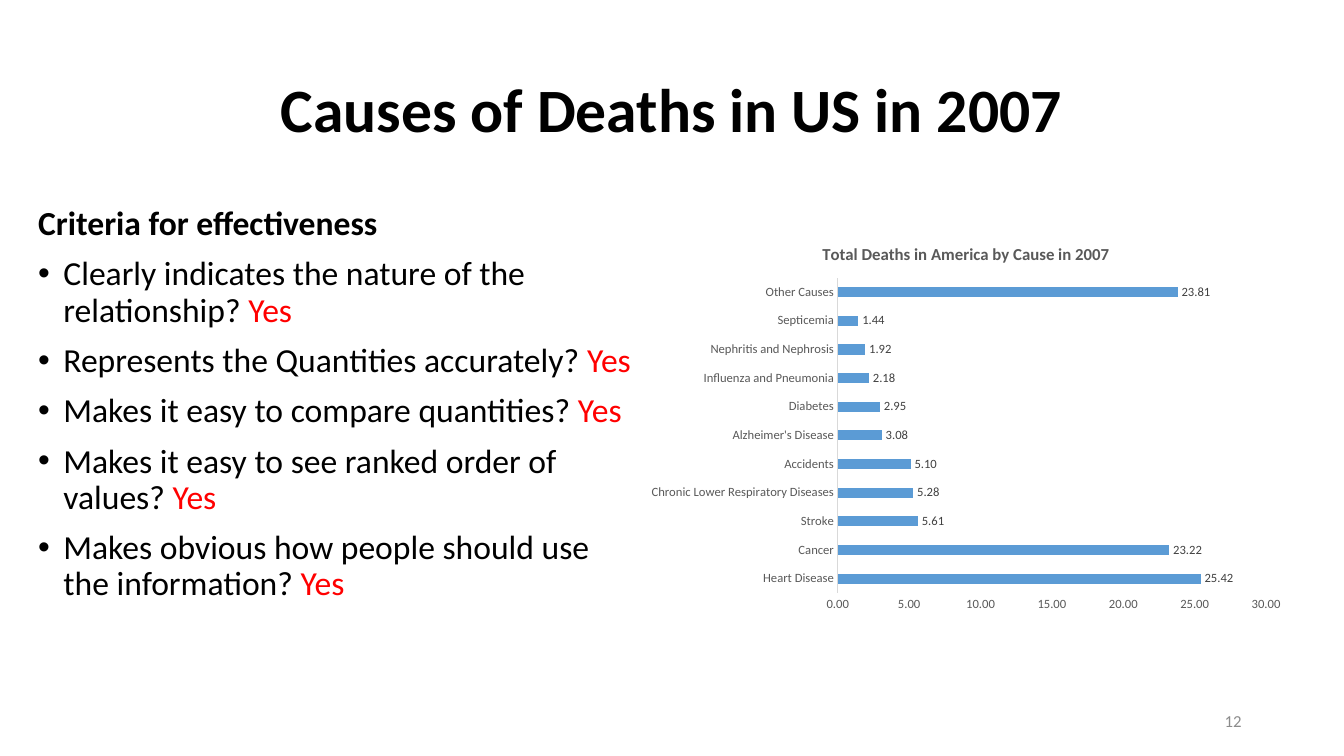
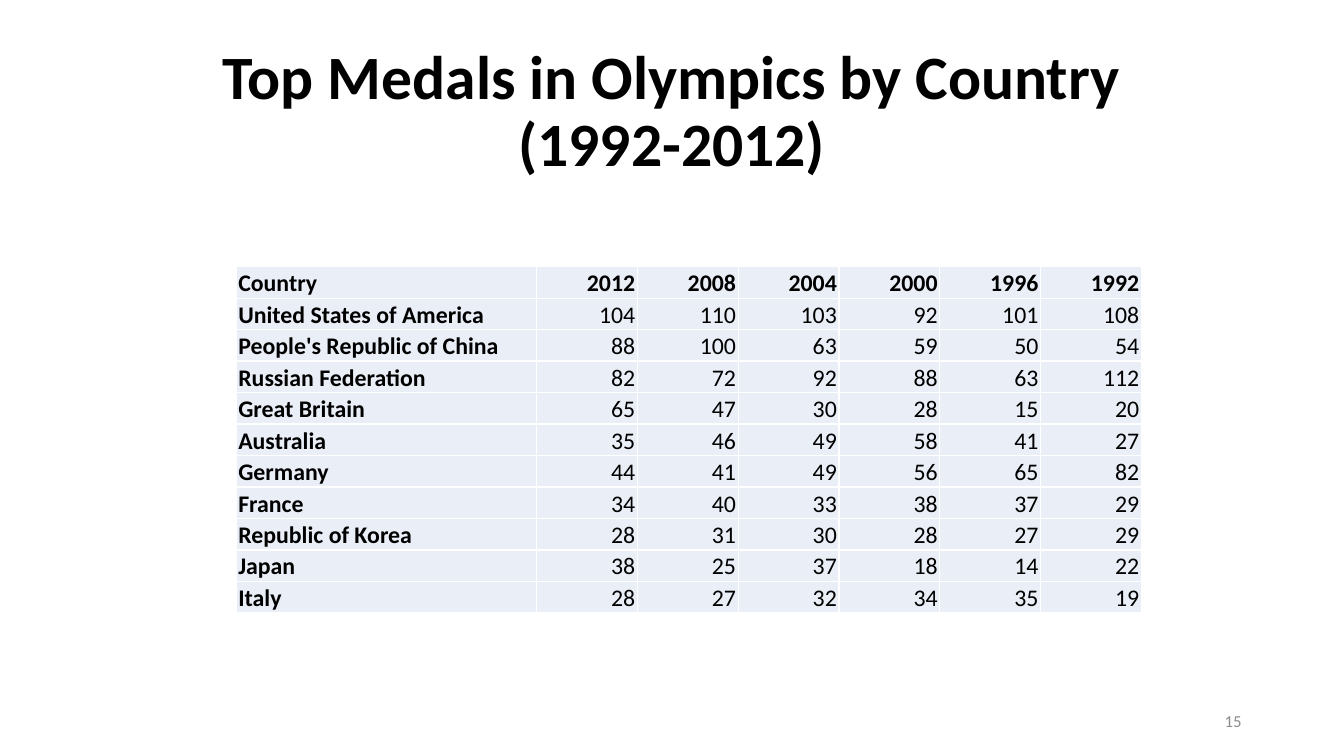
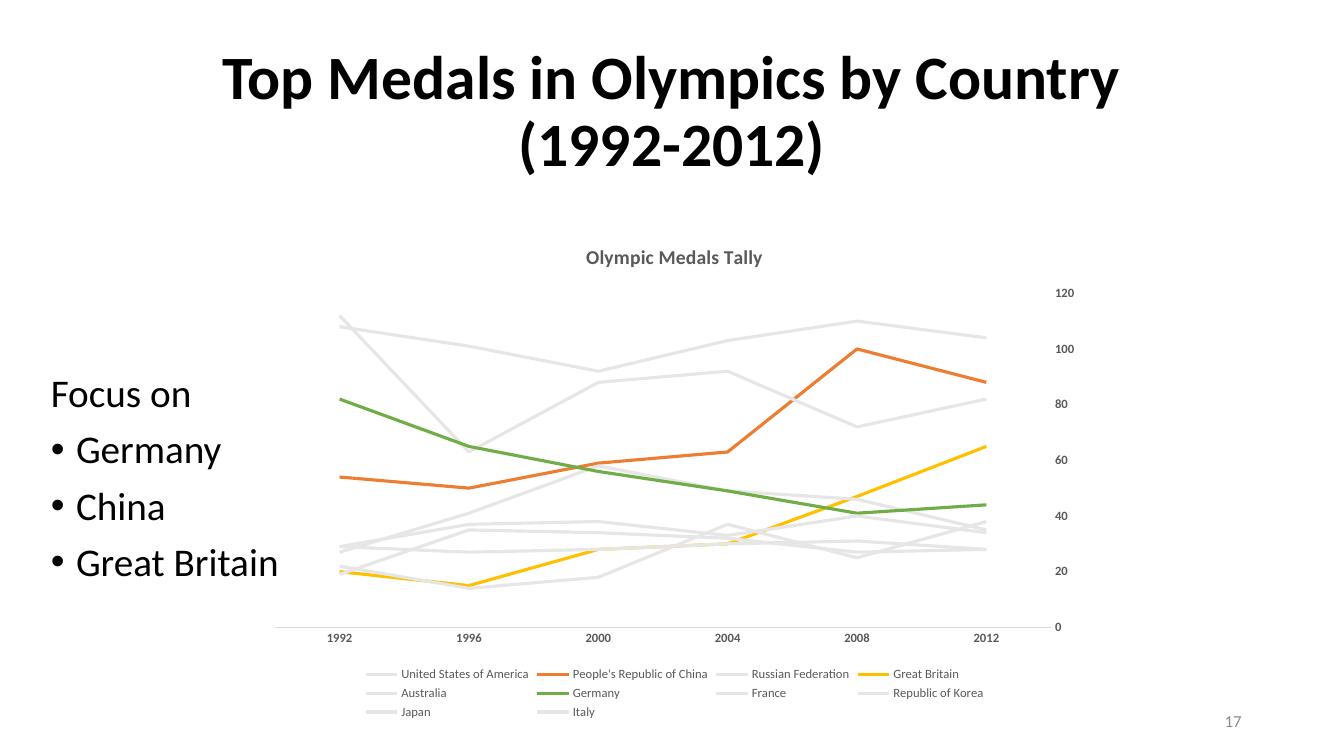
from lxml import etree
from pptx import Presentation
from pptx import util as u
from pptx.chart import data as cd
from pptx.dml.color import RGBColor
from pptx.enum import chart as ce, text
from pptx.oxml import ns

PX = 9525
FONT = "Calibri"
BLACK = RGBColor(0x00, 0x00, 0x00)
RED = RGBColor(0xFF, 0x00, 0x00)
GREY = RGBColor(0x8C, 0x8C, 0x8C)
AXIS_TEXT = RGBColor(0x59, 0x59, 0x59)
AXIS_LINE = RGBColor(0xD9, 0xD9, 0xD9)
LABEL = RGBColor(0x40, 0x40, 0x40)
BLUE = RGBColor(0x5B, 0x9B, 0xD5)
CELL = RGBColor(0xEA, 0xEF, 0xF7)
MUTED = RGBColor(0xE7, 0xE6, 0xE6)
FOCUS = {
    "People's Republic of China": RGBColor(0xED, 0x7D, 0x31),
    "Great Britain": RGBColor(0xFF, 0xC0, 0x00),
    "Germany": RGBColor(0x70, 0xAD, 0x47),
}
LEFT, CENTER, RIGHT = text.PP_ALIGN.LEFT, text.PP_ALIGN.CENTER, text.PP_ALIGN.RIGHT
TOP, MIDDLE = text.MSO_ANCHOR.TOP, text.MSO_ANCHOR.MIDDLE

CRITERIA = [
    "Clearly indicates the nature of the relationship? ",
    "Represents the Quantities accurately? ",
    "Makes it easy to compare quantities? ",
    "Makes it easy to see ranked order of values? ",
    "Makes obvious how people should use the information? ",
]
DEATHS = {
    "Heart Disease": 25.42,
    "Cancer": 23.22,
    "Stroke": 5.61,
    "Chronic Lower Respiratory Diseases": 5.28,
    "Accidents": 5.1,
    "Alzheimer's Disease": 3.08,
    "Diabetes": 2.95,
    "Influenza and Pneumonia": 2.18,
    "Nephritis and Nephrosis": 1.92,
    "Septicemia": 1.44,
    "Other Causes": 23.81,
}
YEARS = ["2012", "2008", "2004", "2000", "1996", "1992"]
MEDALS = {
    "United States of America": [104, 110, 103, 92, 101, 108],
    "People's Republic of China": [88, 100, 63, 59, 50, 54],
    "Russian Federation": [82, 72, 92, 88, 63, 112],
    "Great Britain": [65, 47, 30, 28, 15, 20],
    "Australia": [35, 46, 49, 58, 41, 27],
    "Germany": [44, 41, 49, 56, 65, 82],
    "France": [34, 40, 33, 38, 37, 29],
    "Republic of Korea": [28, 31, 30, 28, 27, 29],
    "Japan": [38, 25, 37, 18, 14, 22],
    "Italy": [28, 27, 32, 34, 35, 19],
}


def add_text(s, box, paras, size, align=LEFT, anchor=TOP, spacing=0.9):
    tf = s.shapes.add_textbox(*[v * PX for v in box]).text_frame
    tf.word_wrap = True
    tf.vertical_anchor = anchor
    for i, (bullet, runs) in enumerate(paras):
        p = tf.add_paragraph() if i else tf.paragraphs[0]
        if bullet:
            pPr = p._p.get_or_add_pPr()
            pPr.set("marL", str(24 * PX))
            pPr.set("indent", str(-24 * PX))
            etree.SubElement(pPr, ns.qn("a:buFont")).set("typeface", "Arial")
            etree.SubElement(pPr, ns.qn("a:buChar")).set("char", "•")
        p.alignment = align
        p.line_spacing = spacing
        p.space_before = u.Pt(10 if i else 0)
        for words, color, bold in runs:
            for j, line in enumerate(words.split("\n")):
                if j:
                    p.add_line_break()
                r = p.add_run()
                r.text = line
                r.font.name = FONT
                r.font.size = u.Pt(size)
                r.font.bold = bold
                r.font.color.rgb = color


def add_chart(s, kind, box, data, title, title_size, top, step, bold):
    chart = s.shapes.add_chart(kind, *[v * PX for v in box], data).chart
    chart.font.name = FONT
    chart.font.size = u.Pt(9)
    chart.font.color.rgb = AXIS_TEXT
    chart.has_title = True
    chart.chart_title.include_in_layout = False
    r = chart.chart_title.text_frame.paragraphs[0].add_run()
    r.text = title
    r.font.name = FONT
    r.font.size = u.Pt(title_size)
    r.font.bold = True
    r.font.color.rgb = AXIS_TEXT
    for axis in (chart.category_axis, chart.value_axis):
        axis.has_major_gridlines = False
        axis.major_tick_mark = ce.XL_TICK_MARK.NONE
        axis.minor_tick_mark = ce.XL_TICK_MARK.NONE
        axis.tick_labels.font.name = FONT
        axis.tick_labels.font.size = u.Pt(9)
        axis.tick_labels.font.bold = bold
        axis.tick_labels.font.color.rgb = AXIS_TEXT
    chart.category_axis.format.line.color.rgb = AXIS_LINE
    chart.category_axis.format.line.width = u.Pt(0.75)
    axis = chart.value_axis
    axis.format.line.fill.background()
    axis.minimum_scale = 0
    axis.maximum_scale = top
    axis.major_unit = step
    chart.has_legend = False
    return chart


prs = Presentation()
prs.slide_width = 1280 * PX
prs.slide_height = 720 * PX

MEDALS_TITLE = "Top Medals in Olympics by Country\n(1992-2012)"
slides = []
for title, number in (
    ("Causes of Deaths in US in 2007", "12"),
    (MEDALS_TITLE, "15"),
    (MEDALS_TITLE, "17"),
):
    s = prs.slides.add_slide(prs.slide_layouts[6])
    add_text(s, (88, 38, 1104, 139), [(False, [(title, BLACK, True)])], 44, CENTER, MIDDLE)
    add_text(s, (904, 667, 288, 38), [(False, [(number, GREY, False)])], 12, RIGHT, MIDDLE, 1.0)
    slides.append(s)
deaths_slide, table_slide, trend_slide = slides

paras = [(False, [("Criteria for effectiveness", BLACK, True)])]
paras += [(True, [(c, BLACK, False), ("Yes", RED, False)]) for c in CRITERIA]
add_text(deaths_slide, (27, 192, 584, 457), paras, 24)

data = cd.CategoryChartData(number_format="0.00")
data.categories = list(DEATHS)
data.add_series("Series 1", list(DEATHS.values()))
chart = add_chart(deaths_slide, ce.XL_CHART_TYPE.BAR_CLUSTERED, (608, 216, 624, 374), data,
                  "Total Deaths in America by Cause in 2007", 12, 30, 5, False)
chart.value_axis.tick_labels.number_format = "0.00"
chart.value_axis.tick_labels.number_format_is_linked = False
plot = chart.plots[0]
plot.gap_width = 182
plot.vary_by_categories = False
plot.series[0].format.fill.solid()
plot.series[0].format.fill.fore_color.rgb = BLUE
plot.has_data_labels = True
labels = plot.data_labels
labels.show_value = True
labels.position = ce.XL_LABEL_POSITION.OUTSIDE_END
labels.number_format = "0.00"
labels.number_format_is_linked = False
labels.font.name = FONT
labels.font.size = u.Pt(9)
labels.font.color.rgb = LABEL

rows = [["Country"] + YEARS] + [[name] + vals for name, vals in MEDALS.items()]
ROW_H, NAME_W, YEAR_W = 30, 286, 96
table = table_slide.shapes.add_table(
    len(rows), len(rows[0]), 225 * PX, 254 * PX,
    (NAME_W + YEAR_W * len(YEARS)) * PX, ROW_H * len(rows) * PX).table
for i, col in enumerate(table.columns):
    col.width = (YEAR_W if i else NAME_W) * PX
for i, values in enumerate(rows):
    table.rows[i].height = ROW_H * PX
    for j, value in enumerate(values):
        cell = table.cell(i, j)
        cell.margin_left = cell.margin_right = cell.margin_top = 2 * PX
        cell.margin_bottom = 0
        cell.vertical_anchor = text.MSO_ANCHOR.BOTTOM
        tcPr = cell._tc.get_or_add_tcPr()
        for side in ("lnL", "lnR", "lnT", "lnB"):
            ln = etree.SubElement(tcPr, ns.qn("a:" + side), w=str(u.Pt(1)))
            fill = etree.SubElement(ln, ns.qn("a:solidFill"))
            etree.SubElement(fill, ns.qn("a:srgbClr"), val="FFFFFF")
        cell.fill.solid()
        cell.fill.fore_color.rgb = CELL
        p = cell.text_frame.paragraphs[0]
        p.alignment = RIGHT if j else LEFT
        r = p.add_run()
        r.text = str(value)
        r.font.name = FONT
        r.font.size = u.Pt(17)
        r.font.bold = i == 0 or j == 0
        r.font.color.rgb = BLACK

paras = [(False, [("Focus on", BLACK, False)])]
paras += [(True, [(name, BLACK, False)]) for name in ("Germany", "China", "Great Britain")]
add_text(trend_slide, (39, 351, 1104, 369), paras, 28)

data = cd.CategoryChartData()
data.categories = YEARS
for name, vals in MEDALS.items():
    data.add_series(name, vals)
chart = add_chart(trend_slide, ce.XL_CHART_TYPE.LINE, (246, 214, 793, 475), data,
                  "Olympic Medals Tally", 14, 120, 20, True)
chart.category_axis.reverse_order = True
chart.plots[0].vary_by_categories = False
chart.has_legend = True
chart.legend.position = ce.XL_LEGEND_POSITION.BOTTOM
chart.legend.include_in_layout = False
chart.legend.font.name = FONT
chart.legend.font.size = u.Pt(9)
chart.legend.font.color.rgb = AXIS_TEXT
for ser in chart.plots[0].series:
    ser.smooth = False
    ser.format.line.width = u.Pt(2.25)
    ser.format.line.color.rgb = FOCUS.get(ser.name, MUTED)

prs.save("out.pptx")
